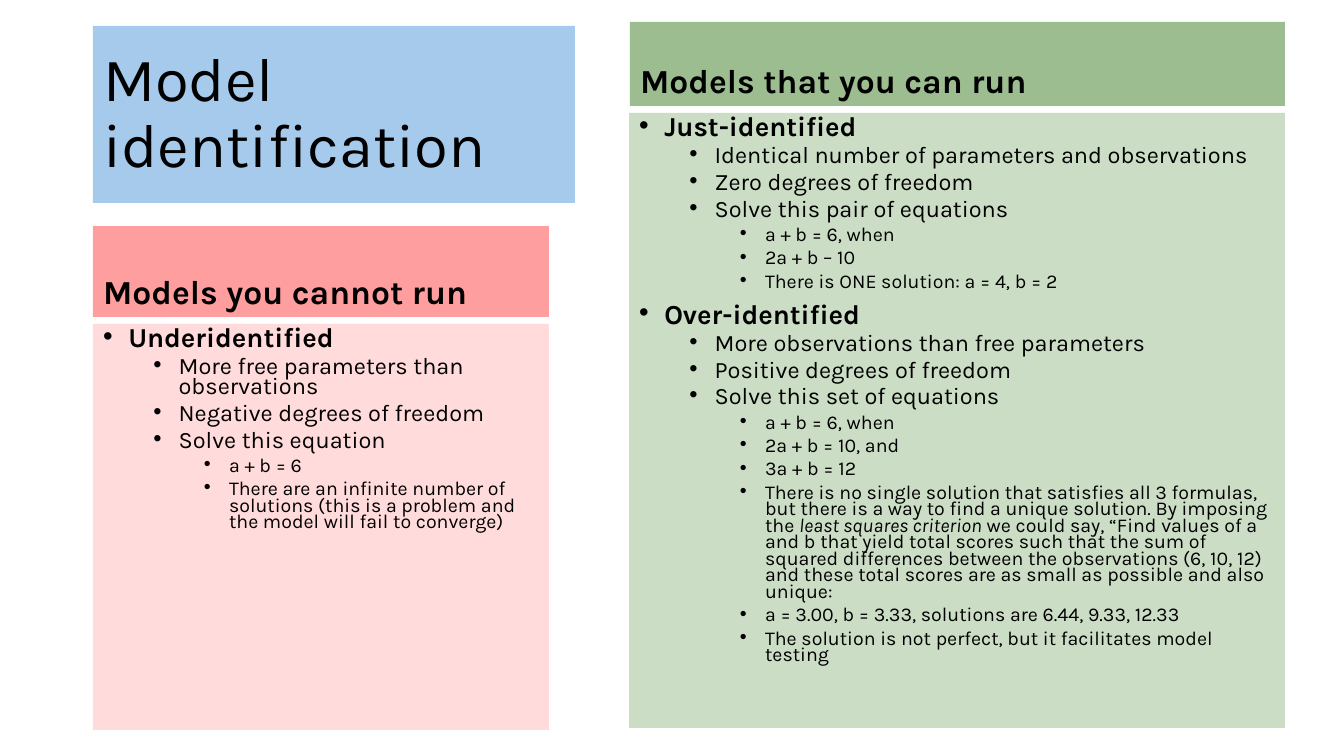
"""Build the slide that sorts models by whether they can be identified."""
from lxml import etree
from pptx import Presentation
from pptx.dml.color import RGBColor
from pptx.enum.text import MSO_ANCHOR, MSO_AUTO_SIZE, PP_ALIGN
from pptx.oxml.ns import qn
from pptx.util import Pt

PX = 914400 / 100.8
TOP, MIDDLE, BOTTOM = MSO_ANCHOR.TOP, MSO_ANCHOR.MIDDLE, MSO_ANCHOR.BOTTOM
NO_AUTOFIT = MSO_AUTO_SIZE.NONE
LEFT = PP_ALIGN.LEFT
COMPARISON_LAYOUT = 4
INDENT = 0.25 * 914400
LEVEL_SIZES = [19.6, 16.8, 14]
LEVEL_SPACES = [10, 5, 5]


def px(length):
    return round(length * PX)


def color(hex_string):
    return RGBColor.from_string(hex_string)


RUNNABLE = [
    (0, "Just-identified"),
    (1, "Identical number of parameters and observations"),
    (1, "Zero degrees of freedom"),
    (1, "Solve this pair of equations"),
    (2, "a + b = 6, when"),
    (2, "2a + b – 10"),
    (2, "There is ONE solution: a = 4, b = 2"),
    (0, "Over-identified"),
    (1, "More observations than free parameters"),
    (1, "Positive degrees of freedom"),
    (1, "Solve this set of equations"),
    (2, "a + b = 6, when"),
    (2, "2a + b = 10, and"),
    (2, "3a + b = 12"),
    (2, "There is no single solution that satisfies all 3 formulas, but there is a way "
        "to find a unique solution. By imposing the *least squares criterion* we could say, "
        "“Find values of a and b that yield total scores such that the sum of squared "
        "differences between the observations (6, 10, 12) and these total scores are as "
        "small as possible and also unique:"),
    (2, "a = 3.00, b = 3.33, solutions are 6.44, 9.33, 12.33"),
    (2, "The solution is not perfect, but it facilitates model testing"),
]
NOT_RUNNABLE = [
    (0, "Underidentified"),
    (1, "More free parameters than observations"),
    (1, "Negative degrees of freedom"),
    (1, "Solve this equation"),
    (2, "a + b = 6"),
    (2, "There are an infinite number of solutions (this is a problem and the model "
        "will fail to converge)"),
]

TITLES = [
    (0, (93, 26, 482, 177), "A6CAEC", 100, "Model identification",
     {"size": Pt(44), "bold": False}, {"space_before": Pt(0)}, MIDDLE),
    (1, (630, 22, 655, 84), "3B7D23", 50, "Models that you can run",
     {"size": Pt(24), "bold": True}, {"space_before": Pt(10)}, BOTTOM),
    (3, (93, 226, 456, 91), "FF0000", 38, "Models you cannot run",
     {"size": Pt(24), "bold": True}, {"space_before": Pt(10)}, BOTTOM),
]
LISTS = [
    (2, (629, 113, 656, 615), "3B7D23", 26, RUNNABLE),
    (4, (93, 324, 456, 406), "FF0000", 14, NOT_RUNNABLE),
]

presentation = Presentation()
presentation.slide_width, presentation.slide_height = px(1344), px(756)
slide = presentation.slides.add_slide(presentation.slide_layouts[COMPARISON_LAYOUT])
placeholders = {shape.placeholder_format.idx: shape for shape in slide.placeholders}

for index, box, fill, opacity, *_ in TITLES + LISTS:
    shape = placeholders[index]
    shape.left, shape.top, shape.width, shape.height = map(px, box)
    shape.fill.solid()
    shape.fill.fore_color.rgb = color(fill)
    if opacity < 100:
        fill_color = next(shape._element.spPr.iter(qn("a:srgbClr")))
        etree.SubElement(fill_color, qn("a:alpha"), val=str(opacity * 1000))
    shape.text_frame.auto_size = NO_AUTOFIT
    shape.text_frame.word_wrap = True

for index, _, _, _, text, font_format, paragraph_format, anchor in TITLES:
    text_frame = placeholders[index].text_frame
    text_frame.vertical_anchor = anchor
    paragraph = text_frame.paragraphs[0]
    for name, value in {"alignment": LEFT, "line_spacing": 0.9, **paragraph_format}.items():
        setattr(paragraph, name, value)
    run = paragraph.add_run()
    run.text = text
    run.font.color.rgb = color("000000")
    for name, value in {"name": "Karla", **font_format}.items():
        setattr(run.font, name, value)

for index, _, _, _, items in LISTS:
    text_frame = placeholders[index].text_frame
    text_frame.vertical_anchor = TOP
    for number, (level, text) in enumerate(items):
        paragraph = text_frame.add_paragraph() if number else text_frame.paragraphs[0]
        paragraph_format = {"level": level, "alignment": LEFT, "line_spacing": 0.7,
                            "space_before": Pt(LEVEL_SPACES[level])}
        for name, value in paragraph_format.items():
            setattr(paragraph, name, value)
        properties = paragraph._p.get_or_add_pPr()
        properties.set("marL", str(round(INDENT * (1 + 2 * level))))
        properties.set("indent", str(round(-INDENT)))
        etree.SubElement(properties, qn("a:buFont"), typeface="Arial")
        etree.SubElement(properties, qn("a:buChar"), char="•")
        for part, words in enumerate(text.split("*")):
            run = paragraph.add_run()
            run.text = words
            run.font.color.rgb = color("000000")
            font_format = {"name": "Karla", "size": Pt(LEVEL_SIZES[level]),
                           "bold": level == 0, "italic": part == 1}
            for name, value in font_format.items():
                setattr(run.font, name, value)

presentation.save("out.pptx")
